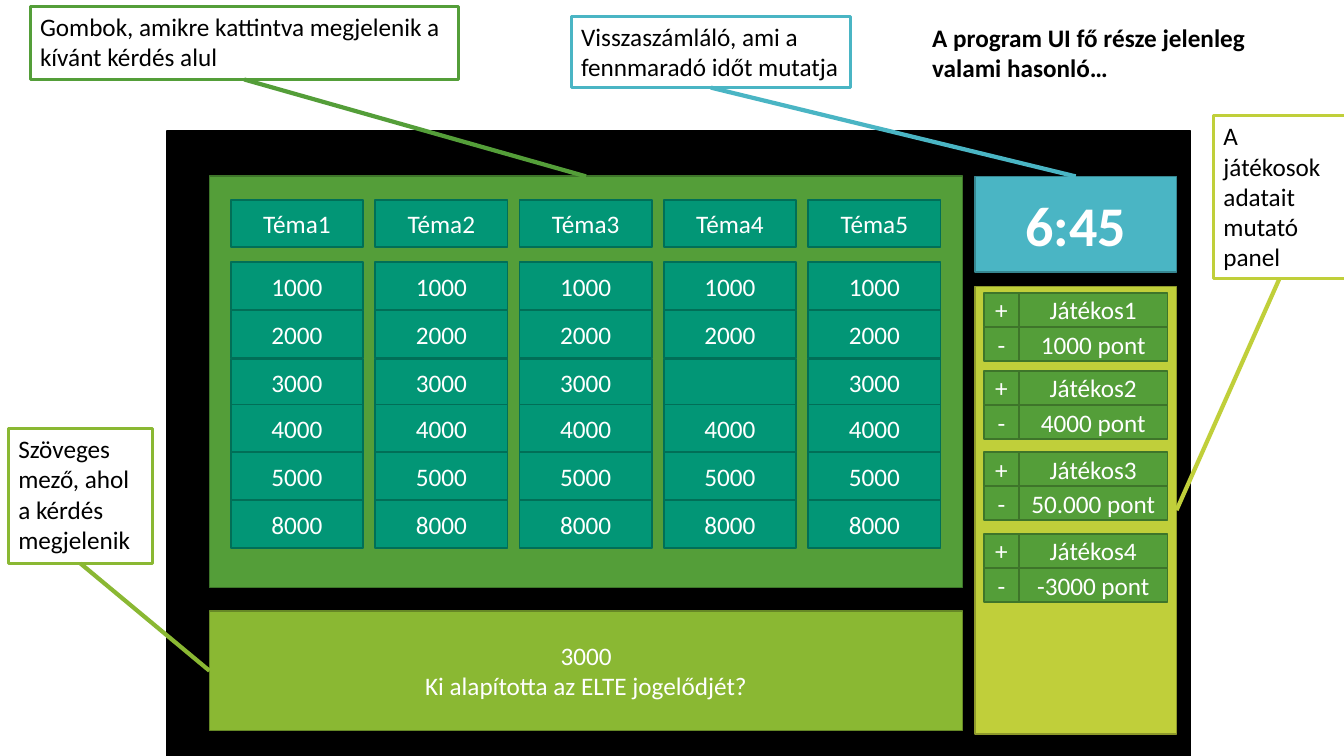
"""Build a slide that explains the main screen of a quiz program."""
from dataclasses import dataclass
from typing import Optional

from lxml.etree import SubElement
from pptx import Presentation
from pptx.dml.color import RGBColor
from pptx.enum.shapes import MSO_CONNECTOR, MSO_SHAPE
from pptx.enum.text import MSO_ANCHOR as Anchor, MSO_AUTO_SIZE as AutoSize, PP_ALIGN as Align
from pptx.oxml.ns import qn
from pptx.shapes.autoshape import Shape
from pptx.shapes.shapetree import GroupShapes, SlideShapes
from pptx.util import Pt

BLACK = RGBColor(0x00, 0x00, 0x00)
WHITE = RGBColor(0xFF, 0xFF, 0xFF)
GREEN = RGBColor(0x54, 0x9E, 0x39)
DARK_GREEN = RGBColor(0x3E, 0x75, 0x2A)
OLIVE = RGBColor(0x8A, 0xB8, 0x33)
DARK_OLIVE = RGBColor(0x66, 0x88, 0x26)
LIME = RGBColor(0xC0, 0xCF, 0x3A)
DARK_LIME = RGBColor(0x8E, 0x99, 0x2B)
BLUE = RGBColor(0x4A, 0xB5, 0xC4)
DARK_BLUE = RGBColor(0x37, 0x86, 0x91)
TEAL = RGBColor(0x02, 0x96, 0x76)
DARK_TEAL = RGBColor(0x01, 0x6F, 0x57)

FONT = "Calibri"
TOP, LEFT, BOTTOM, RIGHT = range(4)

TOPIC_COUNT = 5
TOPIC_LEFT, TOPIC_PITCH = 164.9, 103.1
TOPIC_WIDTH, TOPIC_HEIGHT = 94.5, 34
TOPIC_TOP = 142.6
QUESTION_TOPS = {"1000": 187.4, "2000": 221.8, "3000": 256.2,
                 "4000": 288.9, "5000": 323, "8000": 357.3}
CHOSEN_QUESTION = (3, "3000")

PLAYER_LEFT, SIGN_WIDTH, PLAYER_WIDTH = 702.7, 25.2, 106
PLAYER_ROW_HEIGHT, PLAYER_ROW_PITCH = 24, 24.4


@dataclass(frozen=True)
class Box:
    """Place and size of a box in points."""
    left: float
    top: float
    width: float
    height: float

    def in_points(self) -> tuple[Pt, Pt, Pt, Pt]:
        """Return the lengths as Pt values."""
        return Pt(self.left), Pt(self.top), Pt(self.width), Pt(self.height)


@dataclass(frozen=True)
class Player:
    """Name, score and top edge of a player's entry."""
    name: str
    score: str
    top: float


@dataclass(frozen=True)
class Callout:
    """A note tied to one side of a screen part."""
    text: str
    box: Box
    color: RGBColor
    target: Shape
    side: int


PLAYERS = (
    Player("Játékos1", "1000 pont", 209.3),
    Player("Játékos2", "4000 pont", 265),
    Player("Játékos3", "50.000 pont", 323.1),
    Player("Játékos4", "-3000 pont", 381.4),
)


def write_text(shape: Shape, text: str, *, size: float = 18, color: RGBColor = WHITE,
               bold: bool = False, alignment: Align = Align.CENTER,
               anchor: Anchor = Anchor.MIDDLE, auto_size: AutoSize = AutoSize.NONE) -> None:
    """Write formatted text into a shape."""
    frame = shape.text_frame
    frame.text = text
    frame.word_wrap = True
    frame.auto_size = auto_size
    frame.vertical_anchor = anchor
    for paragraph in frame.paragraphs:
        paragraph.alignment = alignment
        for run in paragraph.runs:
            run.font.name = FONT
            run.font.size = Pt(size)
            run.font.bold = bold
            run.font.color.rgb = color


def write_note(shape: Shape, text: str, *, bold: bool = False) -> None:
    """Write black text that starts at the top left."""
    write_text(shape, text, color=BLACK, bold=bold, alignment=Align.LEFT,
               anchor=Anchor.TOP, auto_size=AutoSize.SHAPE_TO_FIT_TEXT)


def add_box(shapes: GroupShapes | SlideShapes, box: Box, fill: Optional[RGBColor],
            line: RGBColor, line_width: float = 1.25) -> Shape:
    """Add a flat rectangle."""
    shape = shapes.add_shape(MSO_SHAPE.RECTANGLE, *box.in_points())
    shape.shadow.inherit = False
    if fill is None:
        shape.fill.background()
    else:
        shape.fill.solid()
        shape.fill.fore_color.rgb = fill
    shape.line.color.rgb = line
    shape.line.width = Pt(line_width)
    return shape


def add_topics(shapes: GroupShapes) -> None:
    """Add the topic headings and the question buttons below them."""
    def add_row(top: float, labels: list[str]) -> None:
        for column, label in enumerate(labels):
            box = Box(TOPIC_LEFT + column * TOPIC_PITCH, top, TOPIC_WIDTH, TOPIC_HEIGHT)
            button = add_box(shapes, box, TEAL, DARK_TEAL)
            if label:
                write_text(button, label)

    add_row(TOPIC_TOP, [f"Téma{number}" for number in range(1, TOPIC_COUNT + 1)])
    for value, top in QUESTION_TOPS.items():
        add_row(top, ["" if (column, value) == CHOSEN_QUESTION else value
                      for column in range(TOPIC_COUNT)])


def add_player(shapes: GroupShapes, player: Player) -> None:
    """Add a player's name and score with the plus and minus buttons."""
    columns = (
        (PLAYER_LEFT + SIGN_WIDTH, PLAYER_WIDTH, (player.name, player.score)),
        (PLAYER_LEFT, SIGN_WIDTH, ("+", "-")),
    )
    for left, width, labels in columns:
        for row, label in enumerate(labels):
            box = Box(left, player.top + row * PLAYER_ROW_PITCH, width, PLAYER_ROW_HEIGHT)
            write_text(add_box(shapes, box, GREEN, DARK_GREEN), label)


def add_callout(shapes: SlideShapes, callout: Callout) -> None:
    """Add a framed note and the line to its target."""
    connector = shapes.add_connector(MSO_CONNECTOR.STRAIGHT, Pt(0), Pt(0), Pt(0), Pt(0))
    connector.line.color.rgb = callout.color
    connector.line.width = Pt(3)
    SubElement(connector.element.spPr, qn("a:effectLst"))
    note = add_box(shapes, callout.box, None, callout.color, 2.25)
    write_note(note, callout.text)
    connector.begin_connect(callout.target, callout.side)
    connector.end_connect(note, BOTTOM)


def main() -> None:
    """Build and save the presentation."""
    presentation = Presentation()
    presentation.slide_width, presentation.slide_height = Pt(960), Pt(540)
    slide = presentation.slides.add_slide(presentation.slide_layouts[6])

    screen = slide.shapes.add_group_shape().shapes
    add_box(screen, Box(119.5, 93.6, 731, 446.4), BLACK, BLACK)
    board = add_box(screen, Box(149.6, 126, 538, 293.6), GREEN, DARK_GREEN)
    question = add_box(screen, Box(149.6, 436.4, 538, 85.4), OLIVE, DARK_OLIVE)
    write_text(question, "3000\nKi alapította az ELTE jogelődjét?")
    panel = add_box(screen, Box(696.4, 204.6, 144, 319.6), LIME, DARK_LIME)
    timer = add_box(screen, Box(696.4, 126, 144, 68.4), BLUE, DARK_BLUE)
    write_text(timer, "6:45", size=40, bold=True)
    add_topics(screen)
    for player in PLAYERS:
        add_player(screen, player)

    heading = slide.shapes.add_textbox(*Box(658.8, 12.2, 244, 51).in_points())
    write_note(heading, "A program UI fő része jelenleg valami hasonló…", bold=True)
    callouts = (
        Callout("Gombok, amikre kattintva megjelenik a kívánt kérdés alul",
                Box(21.5, 4.5, 306, 52.3), GREEN, board, TOP),
        Callout("Szöveges mező, ahol a kérdés megjelenik",
                Box(6, 306, 103, 96.5), OLIVE, question, LEFT),
        Callout("Visszaszámláló, ami a fennmaradó időt mutatja",
                Box(408, 11.6, 199.6, 51), BLUE, timer, TOP),
        Callout("A játékosok adatait mutató panel",
                Box(866.8, 82.6, 94.2, 116.4), LIME, panel, RIGHT),
    )
    for callout in callouts:
        add_callout(slide.shapes, callout)
    presentation.save("out.pptx")


if __name__ == "__main__":
    main()
